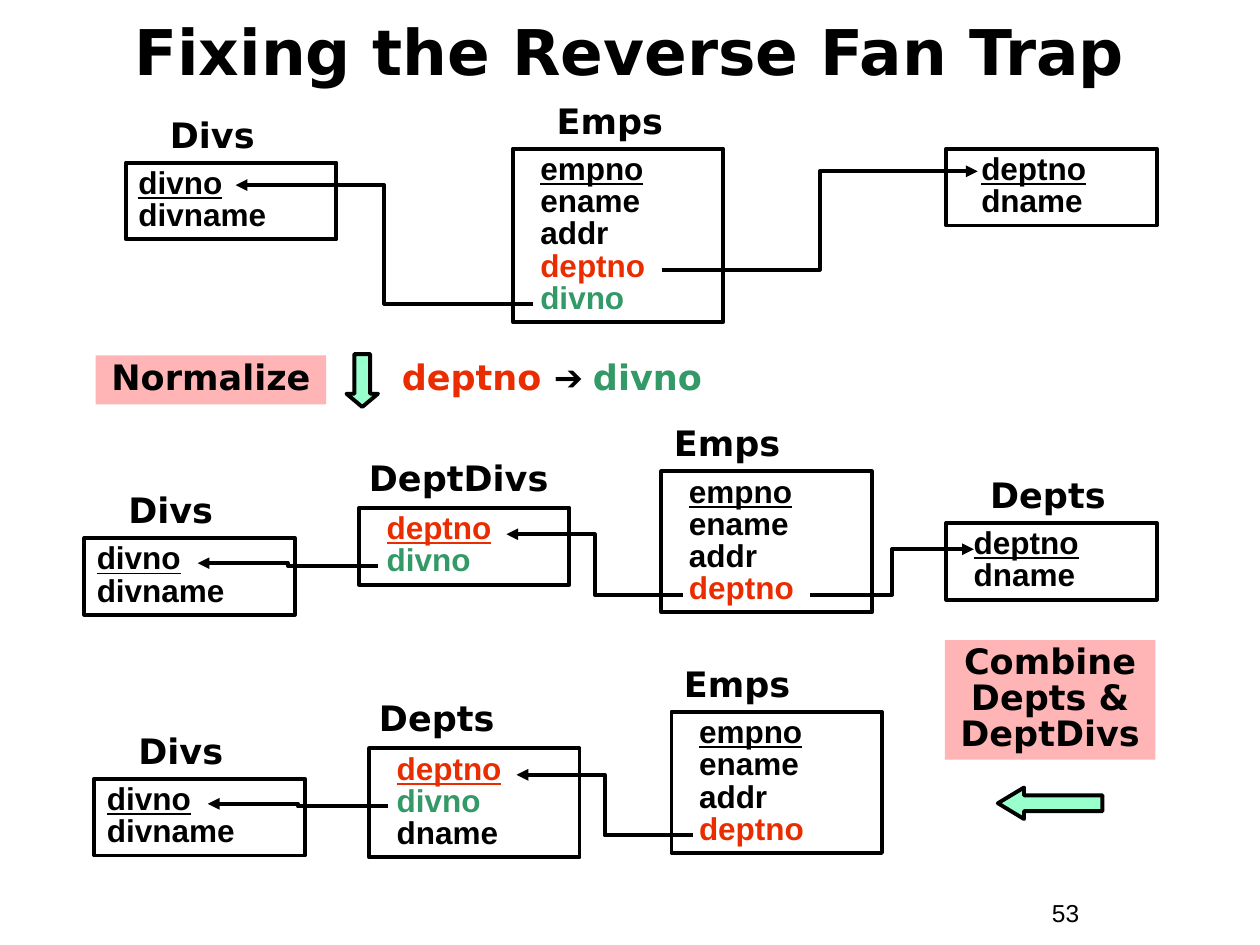
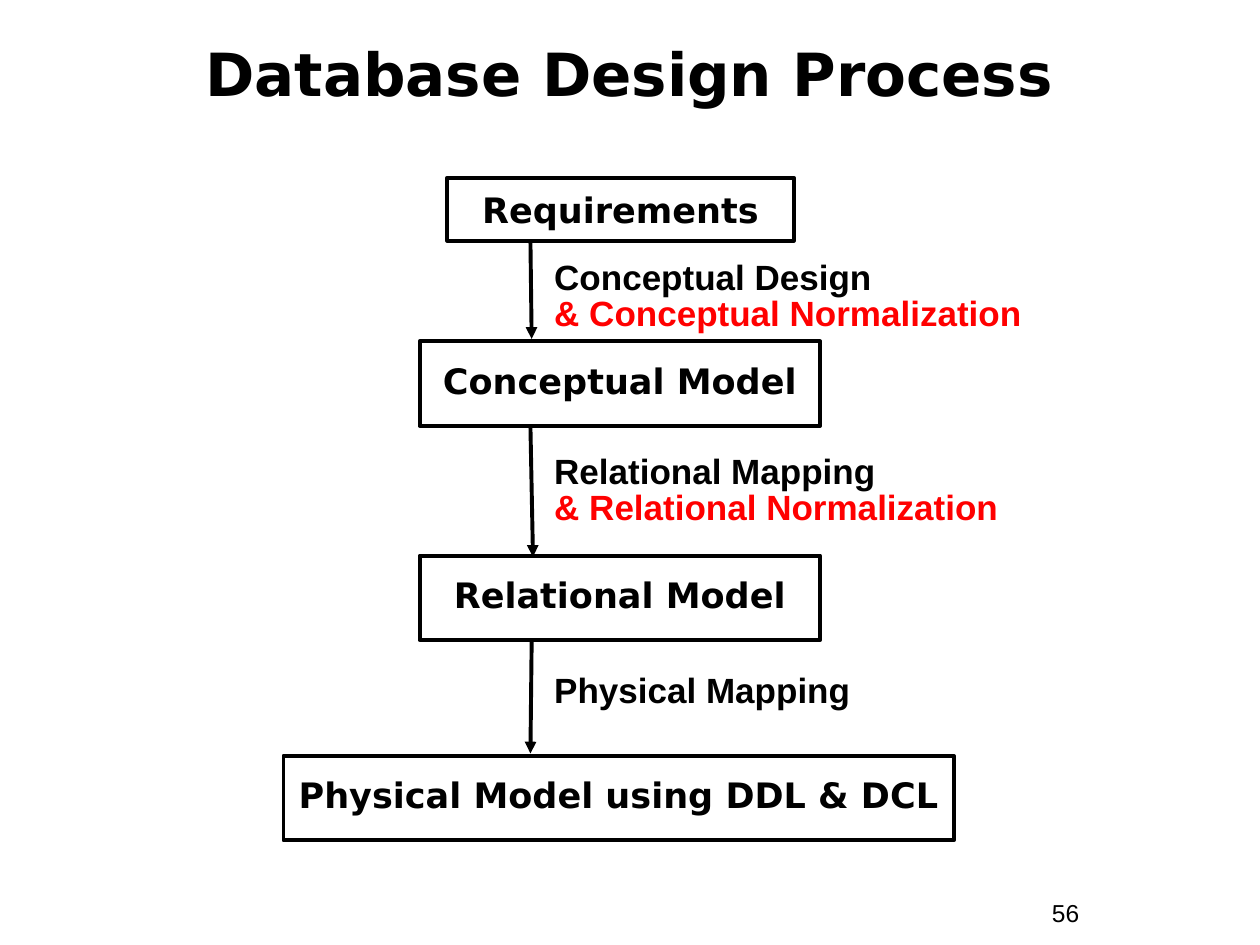
"""Builds two slides on fixing the reverse fan trap and the database design process."""
import dataclasses
import typing

import lxml.etree
import pptx
import pptx.dml.color
import pptx.enum.shapes
import pptx.enum.text
import pptx.oxml.ns
import pptx.shapes.autoshape
import pptx.slide
import pptx.text.text
import pptx.util

Inches = pptx.util.Inches
Color = pptx.dml.color.RGBColor
Shapes = pptx.enum.shapes.MSO_SHAPE
Connectors = pptx.enum.shapes.MSO_CONNECTOR
Align = pptx.enum.text.PP_ALIGN
Anchor = pptx.enum.text.MSO_ANCHOR
qn = pptx.oxml.ns.qn


@dataclasses.dataclass(frozen=True)
class Theme:
    heading_font: str = "DejaVu Sans"
    body_font: str = "Arial"
    black: Color = Color(0x00, 0x00, 0x00)
    dept: Color = Color(0xEA, 0x2D, 0x00)
    div: Color = Color(0x33, 0x99, 0x66)
    accent: Color = Color(0xFF, 0x00, 0x00)
    step_fill: Color = Color(0xFF, 0xB5, 0xB5)
    arrow_fill: Color = Color(0x99, 0xFF, 0xCC)
    label_size: int = 20
    column_size: int = 18
    number_size: int = 14
    line_width: float = 2.25
    tight: float = 0.85


THEME = Theme()


class Box(typing.NamedTuple):
    left: float
    top: float
    width: float
    height: float


class Run(typing.NamedTuple):
    text: str
    color: Color = THEME.black
    font: str = THEME.heading_font
    size: int = THEME.label_size
    bold: bool = True
    underline: bool = False


class Link(typing.NamedTuple):
    start_x: float
    start_y: float
    end_x: float
    end_y: float


class Column(typing.NamedTuple):
    name: str
    color: Color = THEME.black


@dataclasses.dataclass(frozen=True)
class Entity:
    name: str
    left: float
    top: float
    columns: tuple[Column, ...]
    indent: float = 0.12
    name_shift: float = 0.25
    name_rise: float = 0.44


EMPNO, ENAME, ADDR = Column("empno"), Column("ename"), Column("addr")
DEPT_REFERENCE = Column("deptno", THEME.dept)
DIV_REFERENCE = Column("divno", THEME.div)
DNAME = Column("dname")
DIVS = (Column("divno"), Column("divname"))
DEPTS = (Column("deptno"), DNAME)
EMPS = (EMPNO, ENAME, ADDR, DEPT_REFERENCE)


def inches(values: typing.Iterable[float]) -> list[pptx.util.Length]:
    return [Inches(value) for value in values]


def write_lines(paragraph: pptx.text.text._Paragraph, lines: typing.Sequence[typing.Sequence[Run]]) -> None:
    for index, line in enumerate(lines):
        if index:
            paragraph.add_line_break()
        for item in line:
            run = paragraph.add_run()
            run.text = item.text
            run.font.name = item.font
            run.font.size = pptx.util.Pt(item.size)
            run.font.bold = item.bold
            run.font.underline = item.underline
            run.font.color.rgb = item.color


def add_text(slide: pptx.slide.Slide, box: Box, lines: typing.Sequence[typing.Sequence[Run]],
             align: Align = Align.LEFT, anchor: Anchor = Anchor.TOP, spacing: float = THEME.tight) -> None:
    frame = slide.shapes.add_textbox(*inches(box)).text_frame
    frame.word_wrap = True
    frame.vertical_anchor = anchor
    paragraph = frame.paragraphs[0]
    paragraph.alignment = align
    paragraph.line_spacing = spacing
    write_lines(paragraph, lines)


def add_block(slide: pptx.slide.Slide, kind: Shapes, box: Box, fill: Color | None = None,
              outlined: bool = True) -> pptx.shapes.autoshape.Shape:
    shape = slide.shapes.add_shape(kind, *inches(box))
    shape.shadow.inherit = False
    if fill is None:
        shape.fill.background()
    else:
        shape.fill.solid()
        shape.fill.fore_color.rgb = fill
    if outlined:
        shape.line.color.rgb = THEME.black
        shape.line.width = pptx.util.Pt(THEME.line_width)
    else:
        shape.line.fill.background()
    return shape


def add_arrow(slide: pptx.slide.Slide, kind: Connectors, link: Link) -> None:
    connector = slide.shapes.add_connector(kind, *inches(link))
    connector.line.color.rgb = THEME.black
    connector.line.width = pptx.util.Pt(THEME.line_width)
    line = connector.line._get_or_add_ln()
    lxml.etree.SubElement(line, qn("a:tailEnd"), type="triangle")
    lxml.etree.SubElement(connector._element.spPr, qn("a:effectLst"))


def add_block_arrow(slide: pptx.slide.Slide, kind: Shapes, box: Box, head: float) -> None:
    shape = add_block(slide, kind, box, THEME.arrow_fill)
    shape.adjustments[0] = 0.5
    shape.adjustments[1] = head


def add_entity(slide: pptx.slide.Slide, entity: Entity) -> None:
    if entity.name:
        name_box = Box(entity.left + entity.name_shift, entity.top - entity.name_rise, 1.76, 0.44)
        add_text(slide, name_box, [[Run(entity.name)]], spacing=1.0)
    height = 0.1 + 0.255 * len(entity.columns)
    shape = add_block(slide, Shapes.RECTANGLE, Box(entity.left, entity.top, 1.67, height))
    frame = shape.text_frame
    frame.word_wrap = True
    frame.vertical_anchor = Anchor.TOP
    for index, column in enumerate(entity.columns):
        paragraph = frame.add_paragraph() if index else frame.paragraphs[0]
        paragraph.alignment = Align.LEFT
        paragraph.line_spacing = THEME.tight
        properties = paragraph._p.get_or_add_pPr()
        properties.set("marL", str(Inches(entity.indent)))
        properties.set("indent", "0")
        run = Run(column.name, column.color, THEME.body_font, THEME.column_size, underline=index == 0)
        write_lines(paragraph, [[run]])


def add_step(slide: pptx.slide.Slide, box: Box, words: typing.Sequence[str]) -> None:
    shape = add_block(slide, Shapes.RECTANGLE, box, THEME.step_fill, outlined=False)
    frame = shape.text_frame
    frame.word_wrap = True
    frame.vertical_anchor = Anchor.TOP
    paragraph = frame.paragraphs[0]
    paragraph.alignment = Align.CENTER
    paragraph.line_spacing = THEME.tight
    write_lines(paragraph, [[Run(word)] for word in words])


def add_model(slide: pptx.slide.Slide, box: Box, name: str) -> None:
    frame = add_block(slide, Shapes.RECTANGLE, box).text_frame
    frame.word_wrap = False
    frame.vertical_anchor = Anchor.MIDDLE
    paragraph = frame.paragraphs[0]
    paragraph.alignment = Align.CENTER
    paragraph.line_spacing = 1.0 if name == "Requirements" else THEME.tight
    write_lines(paragraph, [[Run(name)]])


def add_slide(presentation: pptx.presentation.Presentation, title: str, box: Box,
              size: int, number: int) -> pptx.slide.Slide:
    slide = presentation.slides.add_slide(presentation.slide_layouts[6])
    add_text(slide, box, [[Run(title, size=size)]], Align.CENTER, Anchor.MIDDLE)
    number_run = Run(str(number), font=THEME.body_font, size=THEME.number_size, bold=False)
    add_text(slide, Box(8.25, 7.08, 0.92, 0.34), [[number_run]], spacing=1.0)
    return slide


def add_normalized_row(slide: pptx.slide.Slide, shift_x: float, shift_y: float,
                       middle_name: str, middle_columns: tuple[Column, ...]) -> None:
    entities = (
        Entity("Divs", 0.67, 4.27, DIVS, indent=0),
        Entity(middle_name, 2.85, 4.03, middle_columns, name_shift=-0.02, name_rise=0.46),
        Entity("Emps", 5.25, 3.74, EMPS, name_shift=0),
    )
    for entity in entities:
        add_entity(slide, dataclasses.replace(entity, left=entity.left + shift_x, top=entity.top + shift_y))
    for link in (Link(3, 4.49, 1.57, 4.47), Link(5.42, 4.72, 4.02, 4.24)):
        add_arrow(slide, Connectors.ELBOW, Link(link.start_x + shift_x, link.start_y + shift_y,
                                                link.end_x + shift_x, link.end_y + shift_y))


def build_fan_trap(presentation: pptx.presentation.Presentation) -> None:
    slide = add_slide(presentation, "Fixing the Reverse Fan Trap", Box(0.33, 0.06, 9.33, 0.78), 36, 53)
    for entity in (
        Entity("Divs", 1, 1.29, DIVS, indent=0),
        Entity("Emps", 4.07, 1.18, EMPS + (DIV_REFERENCE,)),
        Entity("", 7.51, 1.18, DEPTS, indent=0.18),
        Entity("Depts", 7.51, 4.15, DEPTS),
    ):
        add_entity(slide, entity)
    add_normalized_row(slide, 0, 0, "DeptDivs", (DEPT_REFERENCE, DIV_REFERENCE))
    add_normalized_row(slide, 0.08, 1.91, "Depts", (DEPT_REFERENCE, DIV_REFERENCE, DNAME))
    for link in (Link(4.23, 2.41, 1.87, 1.47), Link(5.25, 2.14, 7.76, 1.36), Link(6.43, 4.72, 7.73, 4.36)):
        add_arrow(slide, Connectors.ELBOW, link)

    add_step(slide, Box(0.76, 2.82, 1.83, 0.39), ["Normalize"])
    add_block_arrow(slide, Shapes.DOWN_ARROW, Box(2.75, 2.81, 0.25, 0.42), 0.42)
    dependency = [Run("deptno ", THEME.dept), Run("➔ ", font=THEME.body_font), Run("divno", THEME.div)]
    add_text(slide, Box(2.92, 2.82, 2.92, 0.39), [dependency], Align.CENTER)
    add_step(slide, Box(7.5, 5.08, 1.67, 0.95), ["Combine", "Depts &", "DeptDivs"])
    add_block_arrow(slide, Shapes.LEFT_ARROW, Box(7.92, 6.25, 0.83, 0.25), 0.83)


def build_design_process(presentation: pptx.presentation.Presentation) -> None:
    slide = add_slide(presentation, "Database Design Process", Box(0.33, 0.33, 9.33, 0.58), 34, 56)
    for name, box in (
        ("Requirements", Box(3.55, 1.41, 2.75, 0.5)),
        ("Conceptual Model", Box(3.33, 2.71, 3.18, 0.67)),
        ("Relational Model", Box(3.33, 4.41, 3.18, 0.67)),
        ("Physical Model using DDL & DCL", Box(2.25, 6, 5.32, 0.67)),
    ):
        add_model(slide, box, name)
    for link in (Link(4.21, 1.92, 4.22, 2.69), Link(4.21, 3.39, 4.23, 4.42), Link(4.22, 5.08, 4.21, 5.98)):
        add_arrow(slide, Connectors.STRAIGHT, link)
    for top, words in (
        (2.03, ("Conceptual Design", "& Conceptual Normalization")),
        (3.57, ("Relational Mapping", "& Relational Normalization")),
        (5.31, ("Physical Mapping",)),
    ):
        colors = (THEME.black, THEME.accent)
        lines = [[Run(word, color, THEME.body_font)] for word, color in zip(words, colors)]
        add_text(slide, Box(4.3, top, 4.29, 0.1 + 0.285 * len(words)), lines)


def main() -> None:
    presentation = pptx.Presentation()
    presentation.slide_width = Inches(10)
    presentation.slide_height = Inches(7.5)
    build_fan_trap(presentation)
    build_design_process(presentation)
    presentation.save("out.pptx")


if __name__ == "__main__":
    main()
